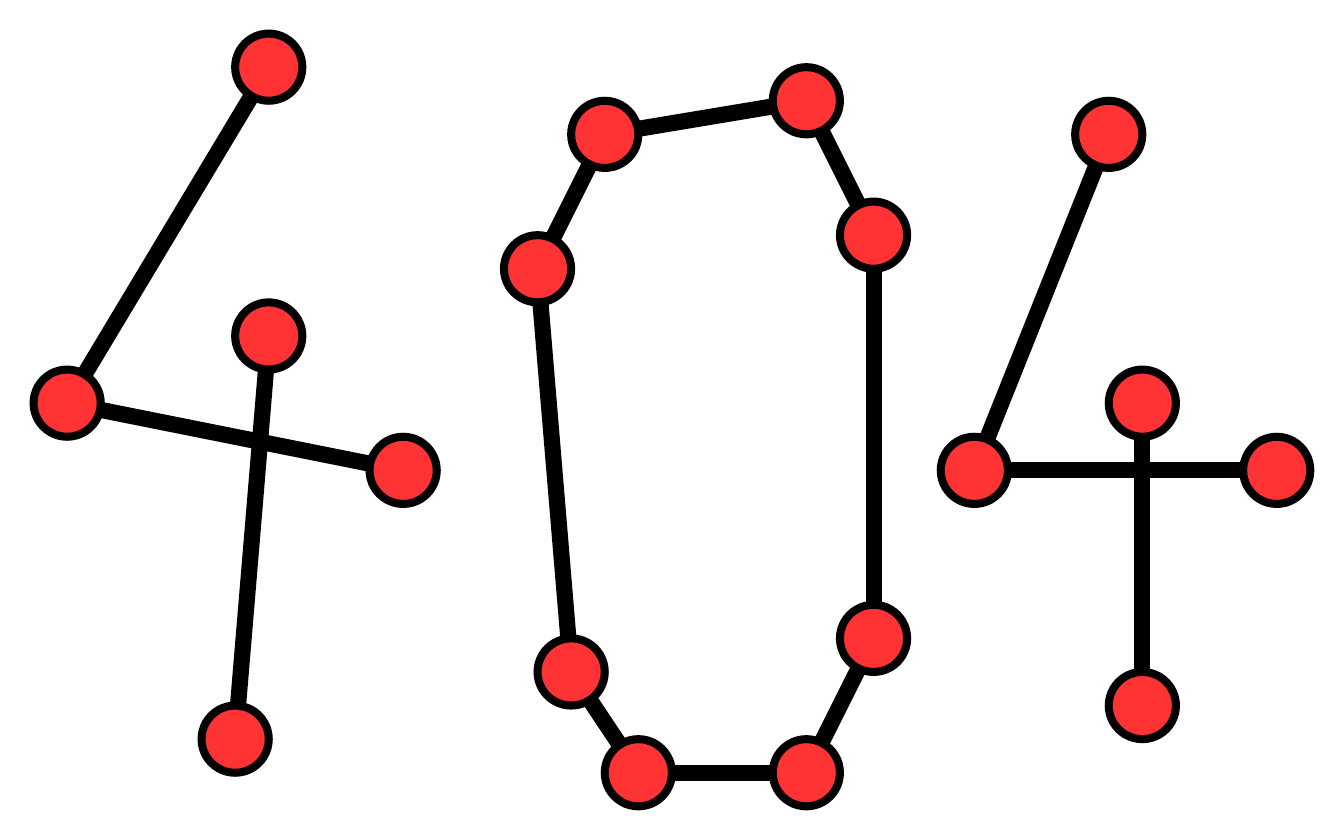
from itertools import pairwise

from lxml import etree
from pptx import Presentation
from pptx.dml.color import RGBColor
from pptx.enum.shapes import MSO_CONNECTOR as Connector, MSO_SHAPE as Shape
from pptx.oxml.ns import qn
from pptx.util import Cm, Pt

BLACK = RGBColor(0x00, 0x00, 0x00)
RED = RGBColor(0xFF, 0x33, 0x33)

GRID = 2.54 / 4  # one grid step in cm
COLUMNS, ROWS = 40, 25

# Strokes of each digit: the nodes they pass through, in grid steps
LEFT_FOUR = [
    [(8, 2), (2, 12), (12, 14)],
    [(8, 10), (7, 22)],
]
ZERO = [
    [(18, 4), (24, 3), (26, 7), (26, 19), (24, 23),
     (19, 23), (17, 20), (16, 8), (18, 4)],
]
RIGHT_FOUR = [
    [(33, 4), (29, 14), (38, 14)],
    [(34, 12), (34, 21)],
]


def steps(count):
    return Cm(count * GRID)


class GraphPainter:
    """Draws nodes and edges in one style on the current slide."""

    node_size = 2
    node_border = Pt(4.31)
    edge_width = Pt(8.65)

    def __init__(self, page):
        self.page = page

    def edge(self, start, end):
        line = self.page.shapes.add_connector(
            Connector.STRAIGHT, *map(steps, start + end))
        line.line.color.rgb = BLACK
        line.line.width = self.edge_width
        etree.SubElement(line._element.spPr, qn("a:effectLst"))

    def node(self, center):
        left, top = (steps(value - self.node_size / 2) for value in center)
        size = steps(self.node_size)
        circle = self.page.shapes.add_shape(Shape.OVAL, left, top, size, size)
        circle.shadow.inherit = False
        circle.fill.solid()
        circle.fill.fore_color.rgb = RED
        circle.line.color.rgb = BLACK
        circle.line.width = self.node_border


def main():
    deck = Presentation()
    deck.slide_width, deck.slide_height = steps(COLUMNS), steps(ROWS)
    painter = GraphPainter(deck.slides.add_slide(deck.slide_layouts[6]))
    strokes = LEFT_FOUR + ZERO + RIGHT_FOUR

    # Edges lie behind the nodes
    for stroke in strokes:
        for start, end in pairwise(stroke):
            painter.edge(start, end)

    # Each node once, although the zero closes on its first one
    for stroke in strokes:
        for center in dict.fromkeys(stroke):
            painter.node(center)

    deck.save("out.pptx")


if __name__ == "__main__":
    main()
